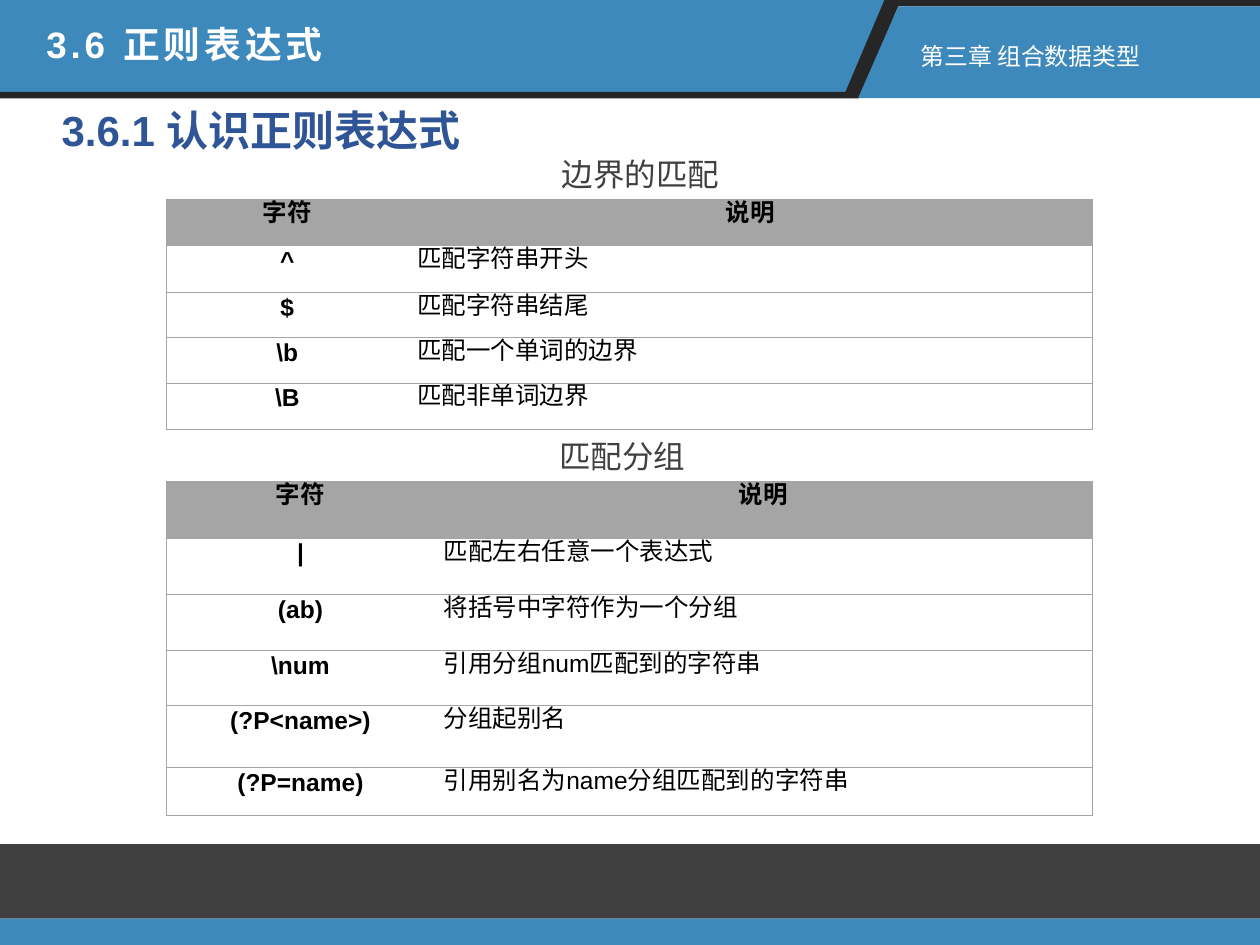
from lxml.etree import SubElement
from pptx import Presentation
from pptx.dml.color import RGBColor
from pptx.enum.shapes import MSO_SHAPE
from pptx.enum.text import MSO_ANCHOR, PP_ALIGN
from pptx.oxml.ns import qn
from pptx.util import Inches, Pt

FONT = "Arial"
NO_STYLE = "{2D5ABB26-0587-4C30-8999-92F81FD0307C}"
COLORS = {
    "blue": "3D89BC",
    "edge": "262626",
    "footer": "404040",
    "heading": "2F5597",
    "caption": "404040",
    "rule": "A5A5A5",
    "white": "FFFFFF",
    "black": "000000",
}
BOUNDARY_ROWS = [
    ("字符", "说明"),
    ("^", "匹配字符串开头"),
    ("$", "匹配字符串结尾"),
    ("\\b", "匹配⼀个单词的边界"),
    ("\\B", "匹配非单词边界"),
]
GROUP_ROWS = [
    ("字符", "说明"),
    ("|", "匹配左右任意⼀个表达式"),
    ("(ab)", "将括号中字符作为⼀个分组"),
    ("\\num", "引用分组num匹配到的字符串"),
    ("(?P<name>)", "分组起别名"),
    ("(?P=name)", "引用别名为name分组匹配到的字符串"),
]


def color(name):
    """Return the named colour."""
    return RGBColor.from_string(COLORS[name])


def paint(shape, fill):
    """Give a shape a flat fill without line or shadow."""
    shape.shadow.inherit = False
    shape.fill.solid()
    shape.fill.fore_color.rgb = color(fill)
    shape.line.fill.background()


def indent(para, left, first_line):
    """Set the left margin and first-line indent in inches."""
    properties = para._p.get_or_add_pPr()
    properties.set("marL", str(Inches(left)))
    properties.set("indent", str(Inches(first_line)))


def style_run(para, size, fill, bold=False):
    """Format the only run of a paragraph and return it."""
    span = para.runs[0]
    span.font.name = FONT
    span.font.size = Pt(size)
    span.font.bold = bold
    span.font.color.rgb = color(fill)
    return span


def add_label(page, box, text, size, fill, bold=False, wrap=True):
    """Add a one-line text box and return its paragraph."""
    frame = page.shapes.add_textbox(*map(Inches, box)).text_frame
    frame.word_wrap = wrap
    frame.text = text
    para = frame.paragraphs[0]
    style_run(para, size, fill, bold)
    return para


def add_outline(page, origin, points, fill):
    """Draw a closed outline from points relative to the origin."""
    left, top = origin
    corners = [(Inches(left + x), Inches(top + y)) for x, y in points]
    builder = page.shapes.build_freeform(*corners[0], scale=1.0)
    builder.add_line_segments(corners[1:], close=True)
    paint(builder.convert_to_shape(), fill)


def add_header(page, box):
    """Draw the slanted banner with the section and chapter titles."""
    left, top, width, height = box
    inner = height - 0.05
    origin = (left, top)
    add_outline(page, origin, [(0, 0), (7.05, 0), (6.74, inner), (0, inner)], "blue")
    add_outline(page, origin, [
        (7.02, 0), (width, 0), (width, 0.05), (7.13, 0.05), (6.82, height),
        (0, height), (0, inner), (6.71, inner),
    ], "edge")
    add_outline(page, origin, [
        (7.13, 0.05), (width, 0.05), (width, height), (6.81, height),
    ], "blue")
    section = add_label(page, (left + 0.27, top + 0.12, 3.91, 0.45),
                        "3.6 正则表达式", 21, "white", bold=True)
    section.runs[0].font._element.set("spc", "220")
    add_label(page, (left + 7.21, top + 0.28, 2.52, 0.33),
              "第三章 组合数据类型", 13.6, "white")


def add_footer(page, box):
    """Draw the dark band and the blue strip below it."""
    left, top, width, height = box
    strip = 0.21
    bands = [(top, height - strip, "footer"), (top + height - strip, strip, "blue")]
    for band_top, band_height, fill in bands:
        band = page.shapes.add_shape(
            MSO_SHAPE.RECTANGLE, *map(Inches, (left, band_top, width, band_height)))
        paint(band, fill)


def add_heading(page, box):
    """Place the subsection heading at the top of the body."""
    para = add_label(page, box, "3.6.1 认识正则表达式", 24, "heading", bold=True)
    indent(para, 0.12, 0)
    para.line_spacing = Pt(16.5)
    para.space_after = Pt(10)


def set_borders(cell, sides):
    """Draw thin grey rules on the given sides of a cell."""
    properties = cell._tc.get_or_add_tcPr()
    for position, side in enumerate(sides):
        line = SubElement(properties, qn(f"a:ln{side}"), w=str(Pt(0.5)))
        fill = SubElement(line, qn("a:solidFill"))
        SubElement(fill, qn("a:srgbClr"), val=COLORS["rule"])
        properties.insert(position, line)


def fill_cell(cell, text, is_header, is_key):
    """Write and format one table cell."""
    cell.margin_left = cell.margin_right = Inches(0.07)
    cell.margin_top = cell.margin_bottom = 0
    cell.text = text
    para = cell.text_frame.paragraphs[0]
    centered = is_header or is_key
    para.alignment = PP_ALIGN.CENTER if centered else PP_ALIGN.JUSTIFY
    para.line_spacing = Pt(16.7)
    indent(para, 0.12, 0.29)
    style_run(para, 14, "black", bold=centered)
    if is_header:
        cell.fill.solid()
        cell.fill.fore_color.rgb = color("rule")
    else:
        cell.fill.background()
    set_borders(cell, ("L" if is_key else "R", "T", "B"))


def add_syntax_table(page, box, rows, key_width, heights):
    """Add a table of characters and their meanings."""
    width = box[2]
    table = page.shapes.add_table(len(rows), 2, *map(Inches, box)).table
    table.horz_banding = False
    table._tbl.tblPr.find(qn("a:tableStyleId")).text = NO_STYLE
    table.columns[0].width = Inches(key_width)
    table.columns[1].width = Inches(width - key_width)
    for row_index, (texts, height) in enumerate(zip(rows, heights)):
        table.rows[row_index].height = Inches(height)
        for column_index, text in enumerate(texts):
            fill_cell(table.cell(row_index, column_index), text,
                      row_index == 0, column_index == 0)


def main():
    """Build the slide and save the deck."""
    deck = Presentation()
    deck.slide_width, deck.slide_height = Inches(10), Inches(7.5)
    page = deck.slides.add_slide(deck.slide_layouts[6])
    add_header(page, (0, 0, 10, 0.78))
    add_footer(page, (0, 6.7, 10, 0.8))
    add_heading(page, (0.27, 0.95, 8.62, 5.68))
    add_syntax_table(page, (1.32, 1.58, 7.35, 1.84), BOUNDARY_ROWS, 1.51,
                     (0.37, 0.37, 0.36, 0.36, 0.37))
    add_label(page, (4.36, 1.18, 1.46, 0.4), "边界的匹配", 18, "caption", wrap=False)
    add_syntax_table(page, (1.32, 3.82, 7.35, 2.65), GROUP_ROWS, 1.72,
                     (0.45, 0.45, 0.44, 0.44, 0.49, 0.38))
    caption = add_label(page, (4.05, 3.42, 1.78, 0.4), "匹配分组", 18, "caption")
    indent(caption, 0, 0.29)
    page.shapes[-1].text_frame.vertical_anchor = MSO_ANCHOR.MIDDLE
    deck.save("out.pptx")


if __name__ == "__main__":
    main()
